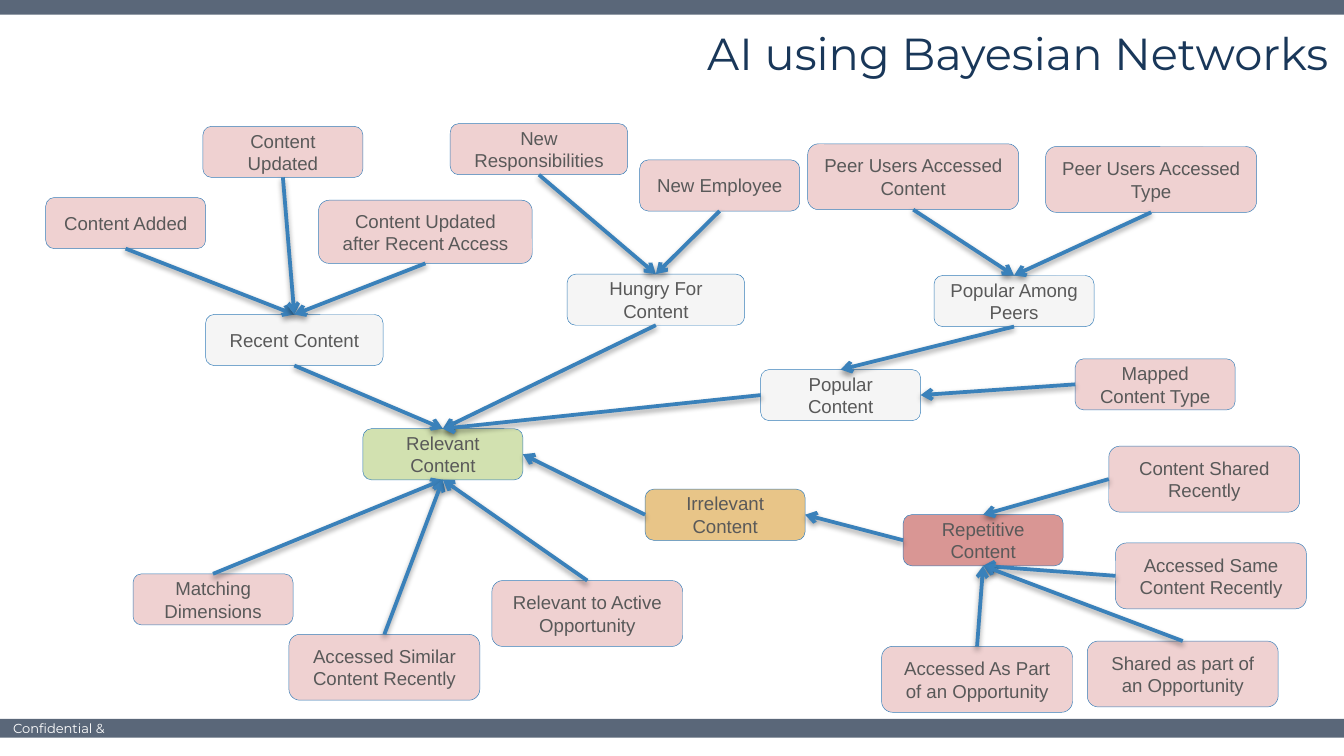
from dataclasses import dataclass
from enum import IntEnum

from lxml.etree import SubElement
from pptx import Presentation
from pptx.dml.color import RGBColor
from pptx.enum.shapes import MSO_CONNECTOR, MSO_SHAPE
from pptx.enum.text import MSO_ANCHOR, PP_ALIGN
from pptx.oxml.ns import qn
from pptx.shapes.autoshape import Shape
from pptx.slide import Slide
from pptx.util import Inches, Pt


@dataclass(frozen=True)
class Theme:
    band: str = "5A6779"
    title: str = "193759"
    white: str = "FFFFFF"
    label: str = "595959"
    outline: str = "367EB9"
    arrow: str = "3A81BA"
    evidence: str = "EFD1D1"
    factor: str = "F5F5F5"
    relevant: str = "D2E1B0"
    irrelevant: str = "E8C588"
    repetitive: str = "D99694"
    heading_font: str = "Montserrat"
    label_font: str = "Arial"
    title_size: float = 24
    label_size: float = 10
    footer_size: float = 7
    outline_width: float = 0.25
    arrow_width: float = 2


class Side(IntEnum):
    TOP = 0
    LEFT = 1
    BOTTOM = 2
    RIGHT = 3


@dataclass(frozen=True)
class Size:
    width: float
    height: float


@dataclass(frozen=True)
class Node:
    text: str
    left: float
    top: float
    size: Size
    fill: str


@dataclass(frozen=True)
class Edge:
    source: str
    target: str
    leave: Side = Side.BOTTOM
    enter: Side = Side.TOP


T = Theme()
SMALL = Size(1.19, 0.38)
MEDIUM = Size(1.32, 0.38)
LARGE = Size(1.42, 0.49)
WIDE = Size(1.57, 0.49)
WIDEST = Size(1.59, 0.47)

NODES = [
    Node("Content Added", 0.34, 1.47, SMALL, T.evidence),
    Node("Content Updated", 1.51, 0.94, SMALL, T.evidence),
    Node("Content Updated after Recent Access", 2.37, 1.49, WIDEST, T.evidence),
    Node("New Responsibilities", 3.35, 0.92, MEDIUM, T.evidence),
    Node("New Employee", 4.76, 1.19, SMALL, T.evidence),
    Node("Peer Users Accessed Content", 6.01, 1.07, WIDE, T.evidence),
    Node("Peer Users Accessed Type", 7.78, 1.09, WIDE, T.evidence),
    Node("Mapped Content Type", 8, 2.67, SMALL, T.evidence),
    Node("Matching Dimensions", 0.99, 4.27, SMALL, T.evidence),
    Node("Accessed Similar Content Recently", 2.15, 4.72, LARGE, T.evidence),
    Node("Relevant to Active Opportunity", 3.66, 4.32, LARGE, T.evidence),
    Node("Content Shared Recently", 8.25, 3.32, LARGE, T.evidence),
    Node("Accessed Same Content Recently", 8.3, 4.04, LARGE, T.evidence),
    Node("Shared as part of an Opportunity", 8.09, 4.77, LARGE, T.evidence),
    Node("Accessed As Part of an Opportunity", 6.56, 4.81, LARGE, T.evidence),
    Node("Recent Content", 1.53, 2.34, MEDIUM, T.factor),
    Node("Hungry For Content", 4.22, 2.04, MEDIUM, T.factor),
    Node("Popular Among Peers", 6.95, 2.05, SMALL, T.factor),
    Node("Popular Content", 5.66, 2.75, SMALL, T.factor),
    Node("Relevant Content", 2.7, 3.19, SMALL, T.relevant),
    Node("Irrelevant Content", 4.8, 3.64, SMALL, T.irrelevant),
    Node("Repetitive Content", 6.72, 3.83, SMALL, T.repetitive),
]

EDGES = [
    Edge("Content Added", "Recent Content"),
    Edge("Content Updated", "Recent Content"),
    Edge("Content Updated after Recent Access", "Recent Content"),
    Edge("New Responsibilities", "Hungry For Content"),
    Edge("New Employee", "Hungry For Content"),
    Edge("Peer Users Accessed Content", "Popular Among Peers"),
    Edge("Peer Users Accessed Type", "Popular Among Peers"),
    Edge("Popular Among Peers", "Popular Content"),
    Edge("Mapped Content Type", "Popular Content", Side.LEFT, Side.RIGHT),
    Edge("Recent Content", "Relevant Content"),
    Edge("Hungry For Content", "Relevant Content"),
    Edge("Popular Content", "Relevant Content", Side.LEFT),
    Edge("Irrelevant Content", "Relevant Content", Side.LEFT, Side.RIGHT),
    Edge("Matching Dimensions", "Relevant Content", Side.TOP, Side.BOTTOM),
    Edge("Accessed Similar Content Recently", "Relevant Content", Side.TOP, Side.BOTTOM),
    Edge("Relevant to Active Opportunity", "Relevant Content", Side.TOP, Side.BOTTOM),
    Edge("Repetitive Content", "Irrelevant Content", Side.LEFT, Side.RIGHT),
    Edge("Content Shared Recently", "Repetitive Content", Side.LEFT),
    Edge("Accessed Same Content Recently", "Repetitive Content", Side.LEFT, Side.BOTTOM),
    Edge("Shared as part of an Opportunity", "Repetitive Content", Side.TOP, Side.BOTTOM),
    Edge("Accessed As Part of an Opportunity", "Repetitive Content", Side.TOP, Side.BOTTOM),
]


def write(sp: Shape, text: str, font: str, size: float, color: str,
          align: PP_ALIGN, anchor: MSO_ANCHOR) -> None:
    tf = sp.text_frame
    tf.word_wrap = True
    tf.vertical_anchor = anchor
    p = tf.paragraphs[0]
    p.alignment = align
    r = p.add_run()
    r.text = text
    r.font.name = font
    r.font.size = Pt(size)
    r.font.color.rgb = RGBColor.from_string(color)


def add_box(s: Slide, kind: MSO_SHAPE, left: float, top: float,
            size: Size, fill: str) -> Shape:
    sp = s.shapes.add_shape(kind, Inches(left), Inches(top),
                            Inches(size.width), Inches(size.height))
    sp.shadow.inherit = False
    sp.fill.solid()
    sp.fill.fore_color.rgb = RGBColor.from_string(fill)
    sp.line.fill.background()
    return sp


def add_text(s: Slide, left: float, top: float, size: Size) -> Shape:
    return s.shapes.add_textbox(Inches(left), Inches(top),
                                Inches(size.width), Inches(size.height))


def add_node(s: Slide, node: Node) -> Shape:
    sp = add_box(s, MSO_SHAPE.ROUNDED_RECTANGLE, node.left, node.top, node.size, node.fill)
    sp.line.color.rgb = RGBColor.from_string(T.outline)
    sp.line.width = Pt(T.outline_width)
    write(sp, node.text, T.label_font, T.label_size, T.label,
          PP_ALIGN.CENTER, MSO_ANCHOR.MIDDLE)
    return sp


def add_edge(s: Slide, edge: Edge, boxes: dict[str, Shape]) -> None:
    cx = s.shapes.add_connector(MSO_CONNECTOR.STRAIGHT, 0, 0, 0, 0)
    cx.begin_connect(boxes[edge.source], edge.leave)
    cx.end_connect(boxes[edge.target], edge.enter)
    cx.line.color.rgb = RGBColor.from_string(T.arrow)
    cx.line.width = Pt(T.arrow_width)
    sppr = cx._element.spPr
    SubElement(sppr.find(qn("a:ln")), qn("a:tailEnd"), type="arrow")
    effects = SubElement(sppr, qn("a:effectLst"))
    shadow = SubElement(effects, qn("a:outerShdw"), blurRad=str(Pt(3.1)),
                        dist=str(Pt(1.6)), dir="5400000", rotWithShape="0")
    black = SubElement(shadow, qn("a:srgbClr"), val="000000")
    SubElement(black, qn("a:alpha"), val="38000")


def main() -> None:
    prs = Presentation()
    prs.slide_width = Inches(10)
    prs.slide_height = prs.slide_width * 9 // 16
    s = prs.slides.add_slide(prs.slide_layouts[6])
    add_box(s, MSO_SHAPE.RECTANGLE, 0, 5.35, Size(10, 0.14), T.band)
    write(add_text(s, 0, 5.31, Size(1.44, 0.22)), "Confidential &", T.heading_font,
          T.footer_size, T.white, PP_ALIGN.LEFT, MSO_ANCHOR.TOP)
    add_box(s, MSO_SHAPE.RECTANGLE, 0, 0, Size(10.03, 0.11), T.band)
    title = add_text(s, 1.59, 0.12, Size(8.39, 0.57))
    title.text_frame.margin_top = title.text_frame.margin_bottom = Inches(0.1)
    write(title, "AI using Bayesian Networks", T.heading_font, T.title_size, T.title,
          PP_ALIGN.RIGHT, MSO_ANCHOR.BOTTOM)
    boxes = {node.text: add_node(s, node) for node in NODES}
    for edge in EDGES:
        add_edge(s, edge, boxes)
    prs.save("out.pptx")


if __name__ == "__main__":
    main()
